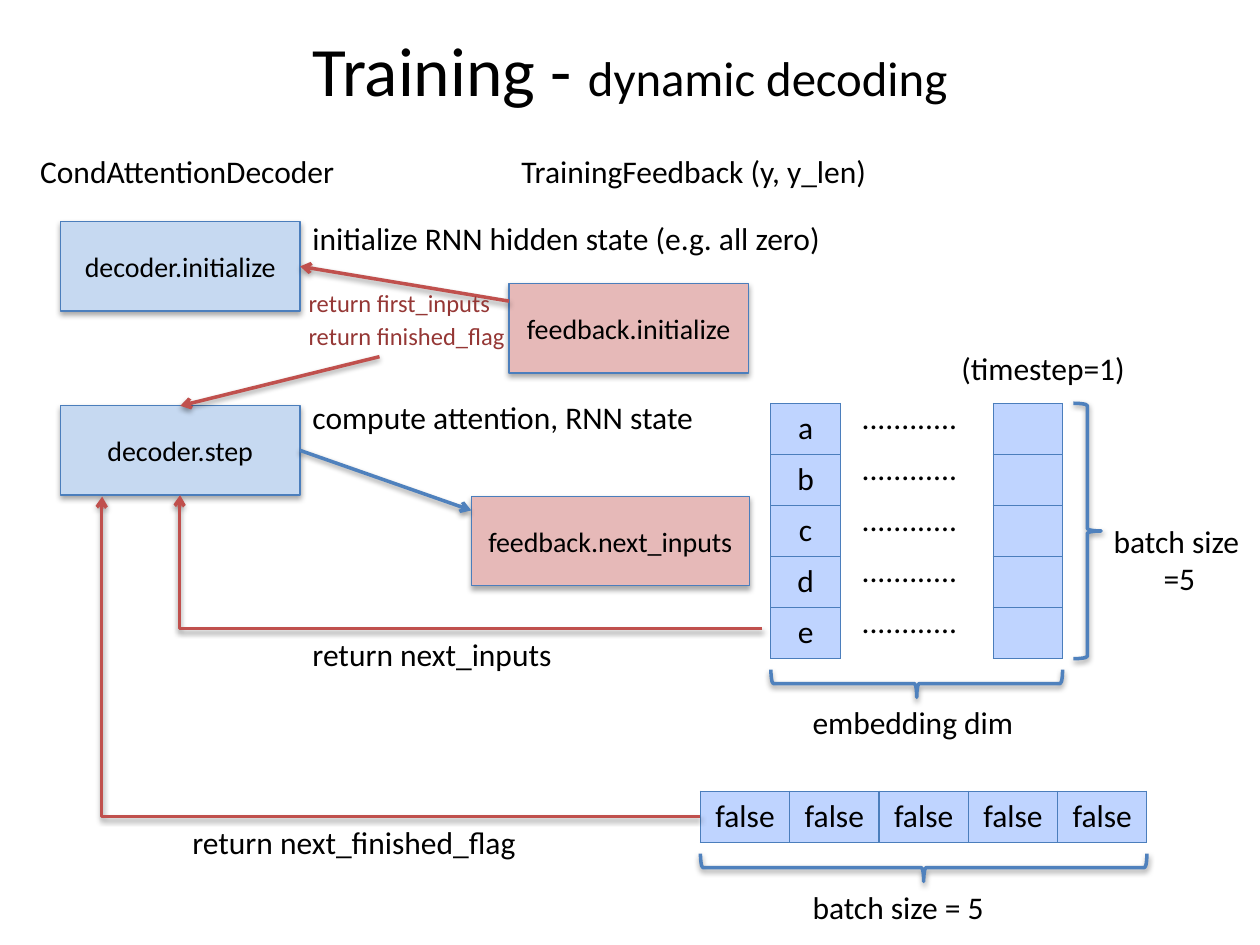
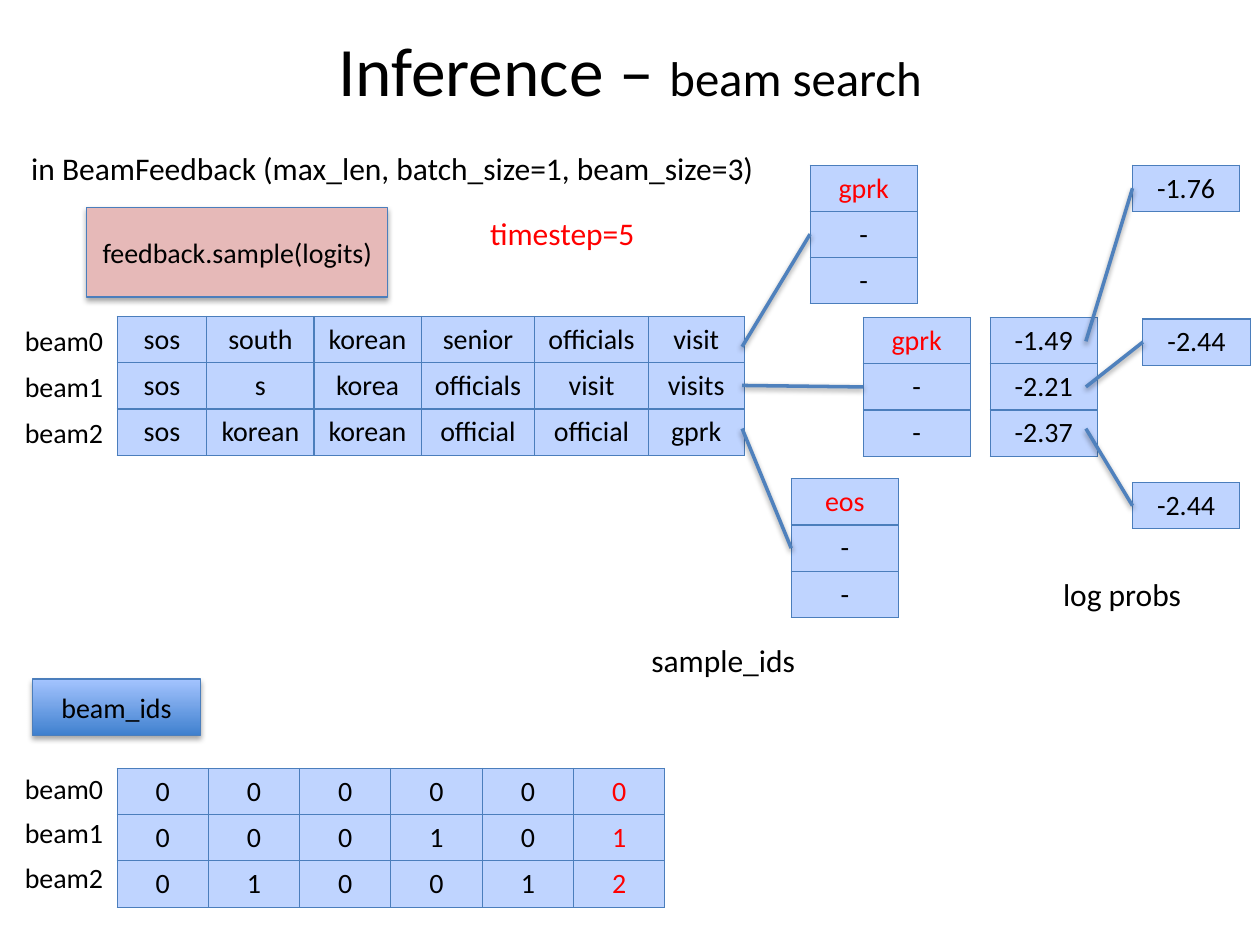
from dataclasses import dataclass

from lxml import etree
from pptx import Presentation
from pptx.dml.color import RGBColor
from pptx.enum import shapes, text
from pptx.oxml import ns
from pptx.util import Cm, Pt


@dataclass(frozen=True)
class Theme:
    font: str = "Calibri"
    black: str = "000000"
    red: str = "FF0000"
    dark_red: str = "953735"
    decoder: str = "C6D9F1"
    feedback: str = "E6B9B8"
    cell: str = "BFD4FF"
    outline: str = "4B7EBC"
    blue: str = "4F81BD"
    crimson: str = "C0504D"
    gradient: tuple = ("3F80CE", "A4C4FF")
    title: float = 39.6
    subtitle: float = 27.9
    body: int = 18
    label: int = 16
    small: int = 14
    thin: float = 0.75
    thick: float = 2


T = Theme()
ROW = 0.93  # height of a row of label-size text
CENTER = text.PP_ALIGN.CENTER


# ---- shared helpers ----
def child(parent, tag, **attrs):
    return etree.SubElement(parent, ns.qn(tag), {k: str(v) for k, v in attrs.items()})


def set_all(obj, values):
    for name, value in values.items():
        setattr(obj, name, value)


def write(p, content, size=T.body, color=T.black, align=None):
    r = p.add_run()
    r.text = content
    set_all(r.font, {"name": T.font, "size": Pt(size)})
    r.font.color.rgb = RGBColor.from_string(color)
    if align is not None:
        p.alignment = align


def outline(obj, color, width):
    obj.line.color.rgb = RGBColor.from_string(color)
    obj.line.width = Pt(width)


def add_shadow(obj, alpha=38, dist=20000):
    effects = child(obj._element.spPr, "a:effectLst")
    outer = child(effects, "a:outerShdw", blurRad=40000, dist=dist,
                  dir=5400000, rotWithShape=0)
    child(child(outer, "a:srgbClr", val=T.black), "a:alpha", val=alpha * 1000)


def add_text(s, x, y, w, *lines, size=T.body, color=T.black, h=1.02):
    tf = s.shapes.add_textbox(Cm(x), Cm(y), Cm(w), Cm(h)).text_frame
    tf.word_wrap = True
    for i, line in enumerate(lines):
        p = tf.add_paragraph() if i else tf.paragraphs[0]
        write(p, line, size, color, CENTER if i else None)


def add_box(s, x, y, w, label, fill, h=1.8):
    sp = s.shapes.add_shape(shapes.MSO_SHAPE.RECTANGLE, Cm(x), Cm(y), Cm(w), Cm(h))
    if isinstance(fill, tuple):
        sp.fill.gradient()
        sp.fill.gradient_angle = 90
        for stop, color in zip(sp.fill.gradient_stops, fill):
            stop.color.rgb = RGBColor.from_string(color)
    else:
        sp.fill.solid()
        sp.fill.fore_color.rgb = RGBColor.from_string(fill)
    outline(sp, T.outline, T.thin)
    add_shadow(sp, 35, 23000)
    tf = sp.text_frame
    set_all(tf, {"word_wrap": True, "vertical_anchor": text.MSO_ANCHOR.MIDDLE})
    write(tf.paragraphs[0], label, T.label, align=CENTER)
    return sp


def add_brace(s, x, y, w, h):
    """Brace filling the box; a wide box gets a brace that points down."""
    flat = w > h
    bw, bh = (h, w) if flat else (w, h)
    sp = s.shapes.add_shape(shapes.MSO_SHAPE.RIGHT_BRACE, Cm(x + (w - bw) / 2),
                            Cm(y + (h - bh) / 2), Cm(bw), Cm(bh))
    sp.rotation = 90 if flat else 0
    sp.fill.background()
    outline(sp, T.blue, T.thick)
    add_shadow(sp)


def add_line(s, start, end, color=T.blue, arrow=False, bent=False):
    kind = shapes.MSO_CONNECTOR.ELBOW if bent else shapes.MSO_CONNECTOR.STRAIGHT
    c = s.shapes.add_connector(kind, *(Cm(v) for v in (*start, *end)))
    outline(c, color, T.thick)
    if arrow:
        child(c.line._get_or_add_ln(), "a:tailEnd", type="arrow")
    if bent:  # runs left, then turns up at the far end
        spPr = c._element.spPr
        xfrm = spPr.find(ns.qn("a:xfrm"))
        for flip in ("flipH", "flipV"):
            xfrm.attrib.pop(flip, None)
        xfrm.set("rot", "10800000")
        geom = spPr.find(ns.qn("a:prstGeom"))
        for old in list(geom):
            geom.remove(old)
        child(child(geom, "a:avLst"), "a:gd", name="adj1", fmla="val 100100")
    add_shadow(c)
    return c


def add_grid(s, x, y, cols, rows, row_h=ROW, size=T.label, red=()):
    frame = s.shapes.add_table(len(rows), len(cols), Cm(x), Cm(y),
                               Cm(sum(cols)), Cm(row_h * len(rows)))
    table = frame.table
    set_all(table, {"first_row": False, "horz_banding": False})
    for col, w in zip(table.columns, cols):
        col.width = Cm(w)
    for i, values in enumerate(rows):
        table.rows[i].height = Cm(row_h)
        for j, value in enumerate(values):
            cell = table.cell(i, j)
            tcPr = cell._tc.get_or_add_tcPr()
            for side in "LRTB":
                ln = child(tcPr, f"a:ln{side}", w=int(Pt(T.thin)))
                child(child(ln, "a:solidFill"), "a:srgbClr", val=T.outline)
            cell.fill.solid()
            cell.fill.fore_color.rgb = RGBColor.from_string(T.cell)
            if value:
                color = T.red if (i, j) in red else T.black
                write(cell.text_frame.paragraphs[0], value, size, color, CENTER)


def add_slide(prs, title, subtitle):
    s = prs.slides.add_slide(prs.slide_layouts[5])
    sp = s.shapes.title
    set_all(sp, {"left": Cm(1.27), "top": Cm(0.76),
                 "width": Cm(22.86), "height": Cm(1.27)})
    p = sp.text_frame.paragraphs[0]
    write(p, title, T.title, align=CENTER)
    write(p, subtitle, T.subtitle)
    return s


# ---- training slide ----
def decoding_calls(s, x, y):
    """Decoder calls on the left, feedback calls on the right."""
    add_text(s, x, y, 6.53, "CondAttentionDecoder")
    add_text(s, x + 9.7, y, 7.65, "TrainingFeedback (y, y_len)")
    init = add_box(s, x + 0.66, y + 1.52, 4.83, "decoder.initialize", T.decoder)
    step = add_box(s, x + 0.66, y + 5.23, 4.83, "decoder.step", T.decoder)
    add_box(s, x + 9.7, y + 2.77, 4.83, "feedback.initialize", T.feedback)
    add_box(s, x + 8.94, y + 7.06, 5.61, "feedback.next_inputs", T.feedback)

    first = add_line(s, (x + 9.7, y + 3.12), (x + 5.49, y + 2.42), T.crimson, True)
    first.end_connect(init, 3)
    flag = add_line(s, (x + 7.09, y + 4.24), (x + 3.07, y + 5.23), T.crimson, True)
    flag.end_connect(step, 0)
    state = add_line(s, (x + 5.49, y + 6.13), (x + 8.94, y + 7.34), arrow=True)
    state.begin_connect(step, 3)

    add_text(s, x + 5.49, y + 1.34, 10.82, "initialize RNN hidden state (e.g. all zero)")
    add_text(s, x + 5.49, y + 4.95, 8.86, "compute attention, RNN state")
    for i, name in enumerate(("first_inputs", "finished_flag")):
        add_text(s, x + 5.41, y + 2.74 + 0.66 * i, 5.72, f"return {name}",
                 size=T.small, color=T.dark_red, h=0.86)


def embedded_batch(s, x, y):
    """Five embedded inputs with their dimensions."""
    row_h, letters = 1.03, "abcde"
    height = row_h * len(letters)
    add_grid(s, x, y, [1.4], letters, row_h, T.body)
    add_grid(s, x + 4.48, y, [1.4], [[""]] * len(letters), row_h)
    for i in range(len(letters)):
        add_text(s, x + 1.58, y - 0.23 + row_h * i, 2.49, "............")
    add_text(s, x + 3.59, y - 1.22, 5.05, "(timestep=1)")
    add_brace(s, x + 6.1, y, 0.56, height)
    add_text(s, x + 6.66, y + 2.26, 3.15, "batch size", "=5", h=1.8)
    add_brace(s, x, y + 5.37, 5.88, 0.56)
    add_text(s, x + 0.59, y + 5.92, 5.05, "embedding dim")


def finished_flags(s, x, y):
    add_grid(s, x, y, [1.8] * 5, [["false"] * 5], 1.03, T.body)
    add_brace(s, x, y + 1.26, 9, 0.56)
    add_text(s, x + 2.01, y + 1.83, 5.05, "batch size = 5")


def return_path(s, start, end, name, label_x):
    """Bent arrow back to the decoder step, with its label underneath."""
    add_line(s, start, end, T.crimson, arrow=True, bent=True)
    add_text(s, label_x, start[1], 7.34, f"return {name}")


def training_slide(prs):
    s = add_slide(prs, "Training - ", "dynamic decoding")
    decoding_calls(s, 0.56, 2.95)
    embedded_batch(s, 15.54, 8.13)
    finished_flags(s, 14.12, 15.95)
    return_path(s, (15.37, 12.67), (3.63, 9.98), "next_inputs", 6.05)
    return_path(s, (14.12, 16.46), (2.06, 10.01), "next_finished_flag", 3.63)


# ---- inference slide ----
def beam_table(s, x, y, cols, rows, label_y, pitch, red=()):
    """Grid with beam names to its left."""
    for i in range(len(rows)):
        add_text(s, x, y + label_y + pitch * i, 2.15, f"beam{i}",
                 size=T.label, h=0.93)
    add_grid(s, x + 2.11, y, cols, rows, red=red)


def sample_ids(s, x, y):
    """Next token for each beam; x, y is the top of the beams' right edge."""
    samples = [("gprk", 1.37, -3.05, 0.61, -1.66),
               ("gprk", 2.44, 0.02, 1.39, 1.42),
               ("eos", 0.99, 3.27, 2.26, 4.67)]
    for token, dx, dy, start, end in samples:
        add_grid(s, x + dx, y + dy, [2.16], [[token], ["-"], ["-"]], red={(0, 0)})
        add_line(s, (x, y + start), (x + dx, y + end))
    add_text(s, x - 2.08, y + 6.42, 3.5, "sample_ids")


def log_probs(s, x, y):
    """Running scores and the score each beam moves to."""
    add_grid(s, x, y, [2.16], [["-1.49"], ["-2.21"], ["-2.37"]])
    scores = [("-1.76", 2.87, -3.07, 0.48), ("-2.44", 3.08, 0.03, 1.4),
              ("-2.44", 2.87, 3.33, 2.24)]
    for score, dx, dy, start in scores:
        add_grid(s, x + dx, y + dy, [2.16], [[score]])
        add_line(s, (x + 1.93, y + start), (x + dx, y + dy + ROW / 2))
    add_text(s, x + 1.22, y + 5.06, 3, "log probs")


def inference_slide(prs):
    s = add_slide(prs, "Inference – ", "beam search")
    add_text(s, 0.38, 2.87, 15.4, "in BeamFeedback (max_len, batch_size=1, beam_size=3)")
    add_box(s, 1.75, 4.19, 6.07, "feedback.sample(logits)", T.feedback)
    add_text(s, 9.63, 4.19, 3.6, "timestep=5", color=T.red)
    beams = ["sos south korean senior officials visit",
             "sos s korea officials visit visits",
             "sos korean korean official official gprk"]
    beam_table(s, 0.25, 6.38, [1.81, 2.16, 2.16, 2.29, 2.29, 1.93],
               [beam.split() for beam in beams], 0.02, 0.93)
    sample_ids(s, 14.96, 6.38)
    log_probs(s, 19.96, 6.4)
    add_box(s, 0.66, 13.69, 3.38, "beam_ids", T.gradient, h=1.14)
    beam_table(s, 0.25, 15.49, [1.84] * 6, ["000000", "000101", "010012"],
               -0.07, 0.9, red={(i, 5) for i in range(3)})


def main():
    prs = Presentation()
    set_all(prs, {"slide_width": Cm(25.4), "slide_height": Cm(19.05)})
    training_slide(prs)
    inference_slide(prs)
    prs.save("out.pptx")


if __name__ == "__main__":
    main()
